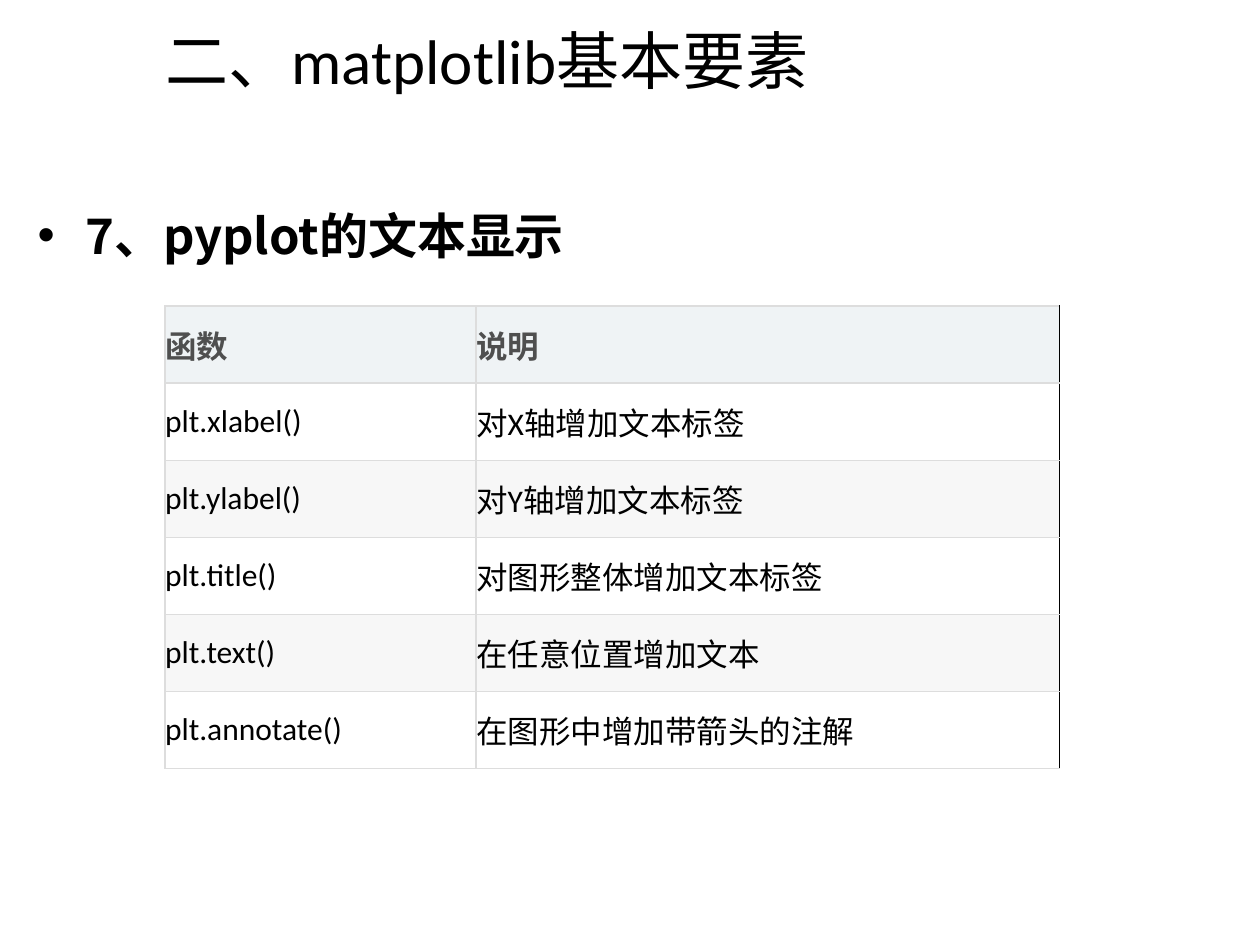
from lxml import etree
from pptx import Presentation
from pptx.dml.color import RGBColor
from pptx.enum.text import MSO_ANCHOR, PP_ALIGN
from pptx.oxml.ns import qn
from pptx.util import Inches, Pt

MIDDLE = MSO_ANCHOR.MIDDLE
TOP = MSO_ANCHOR.TOP
LEFT = PP_ALIGN.LEFT
CENTER = PP_ALIGN.CENTER

LATIN, CJK = "Calibri", "Noto Sans CJK SC"
COLORS = {
    "text": "000000",
    "header_text": "4F4F4F",
    "header_fill": "EFF3F5",
    "odd_fill": "FFFFFF",
    "even_fill": "F7F7F7",
    "grid": "DDDDDD",
    "right_edge": "000000",
}
FUNCTIONS = [
    ("函数", "说明"),
    ("plt.xlabel()", "对X轴增加文本标签"),
    ("plt.ylabel()", "对Y轴增加文本标签"),
    ("plt.title()", "对图形整体增加文本标签"),
    ("plt.text()", "在任意位置增加文本"),
    ("plt.annotate()", "在图形中增加带箭头的注解"),
]


def write_text(frame, text, size=18, font=LATIN, color="text", bold=False,
               align=LEFT, anchor=MIDDLE):
    """Fill a text frame with one formatted paragraph and return it."""
    frame.word_wrap = True
    frame.vertical_anchor = anchor
    paragraph = frame.paragraphs[0]
    paragraph.alignment = align
    run = paragraph.add_run()
    run.text = text
    run.font.size = Pt(size)
    run.font.bold = bold
    run.font.color.rgb = RGBColor.from_string(COLORS[color])
    run.font.name = font
    etree.SubElement(run.font._element, qn("a:ea"), typeface=CJK)
    return paragraph


def set_borders(cell, **sides):
    """Draw cell borders; each side is a (color name, points) pair."""
    properties = cell._tc.get_or_add_tcPr()
    for index, side in enumerate("LRTB"):
        color, width = sides[side]
        line = etree.Element(qn(f"a:ln{side}"), w=str(Pt(width)))
        fill = etree.SubElement(line, qn("a:solidFill"))
        etree.SubElement(fill, qn("a:srgbClr"), val=COLORS[color])
        properties.insert(index, line)


def place_title(slide, left, top, width, height):
    title = slide.shapes.title
    title.left, title.top, title.width, title.height = left, top, width, height
    write_text(title.text_frame, "二、matplotlib基本要素", size=36, align=CENTER)


def place_heading(slide, left, top, width, height):
    frame = slide.shapes.add_textbox(left, top, width, height).text_frame
    frame.margin_top = Inches(0.54)
    heading = write_text(frame, "7、pyplot的文本显示", size=28, font=CJK,
                         bold=True, anchor=TOP)
    # Hanging bullet
    properties = heading._p.get_or_add_pPr()
    properties.set("marL", str(Inches(0.38)))
    properties.set("indent", str(-Inches(0.38)))
    etree.SubElement(properties, qn("a:buFont"), typeface="Arial")
    etree.SubElement(properties, qn("a:buChar"), char="•")


def place_function_table(slide, left, top, width, height):
    table = slide.shapes.add_table(len(FUNCTIONS), 2, left, top, width, height).table
    name_width = Inches(2.47)
    table.columns[0].width = name_width
    table.columns[1].width = width - name_width
    grid = ("grid", 1)
    for row, entries in enumerate(FUNCTIONS):
        header = row == 0
        fill = "header_fill" if header else "odd_fill" if row % 2 else "even_fill"
        for column, text in enumerate(entries):
            cell = table.cell(row, column)
            cell.margin_left = cell.margin_right = 0
            cell.margin_top = cell.margin_bottom = 0
            cell.vertical_anchor = MIDDLE
            cell.fill.solid()
            cell.fill.fore_color.rgb = RGBColor.from_string(COLORS[fill])
            write_text(cell.text_frame, text, bold=header,
                       font=CJK if header else LATIN,
                       color="header_text" if header else "text")
            right = ("right_edge", 0.75) if column == 1 else grid
            set_borders(cell, L=grid, R=right, T=grid, B=grid)


def main():
    deck = Presentation()
    deck.slide_width, deck.slide_height = Inches(10), Inches(7.5)
    slide = deck.slides.add_slide(deck.slide_layouts[5])
    place_title(slide, 0, 0, Inches(7.73), Inches(0.94))
    place_heading(slide, Inches(0.2), Inches(1.09), Inches(9.61), Inches(5.55))
    place_function_table(slide, Inches(1.31), Inches(2.43), Inches(7.1), Inches(3.67))
    deck.save("out.pptx")


if __name__ == "__main__":
    main()
